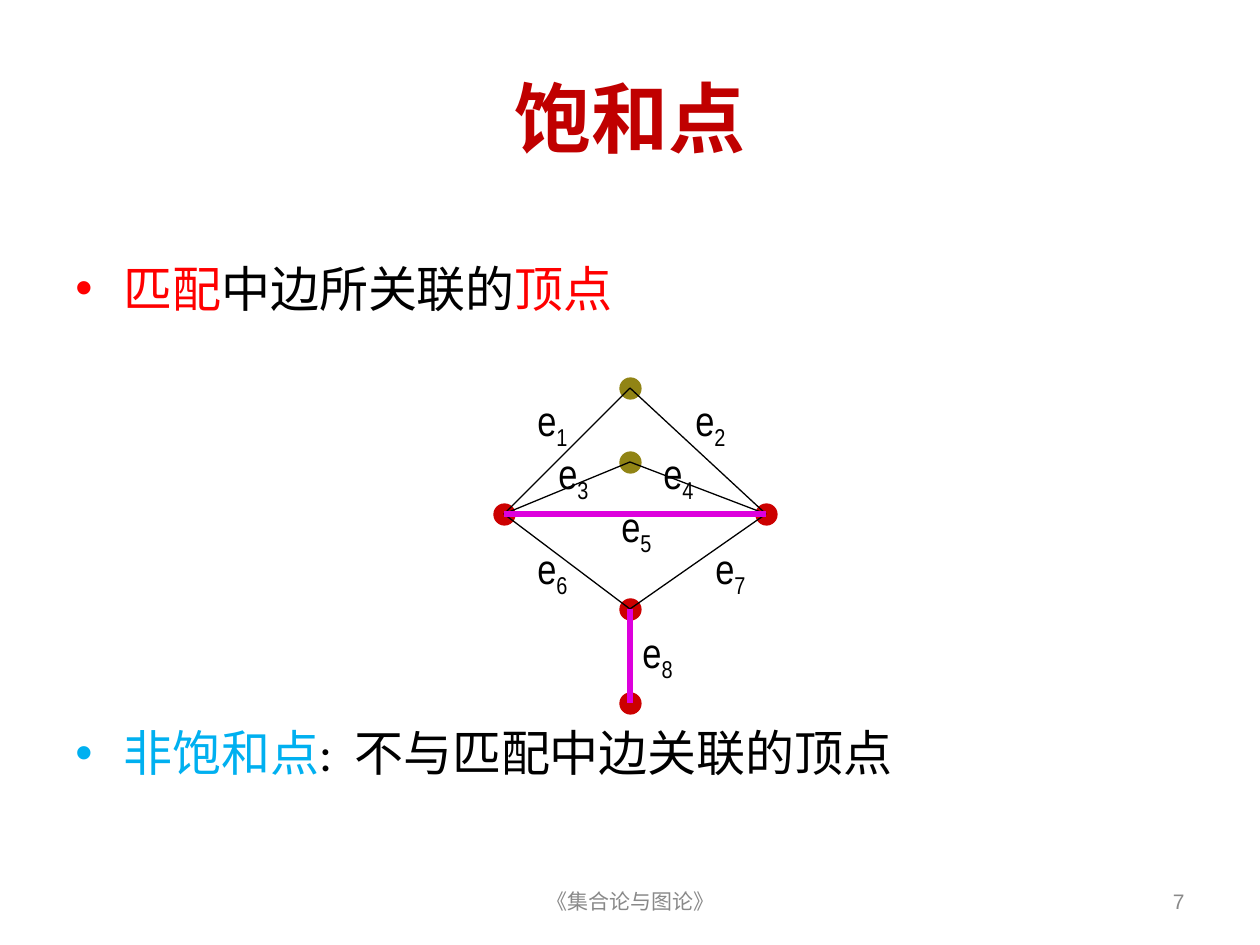
import pptx
import pptx.dml.color
import pptx.enum.shapes
import pptx.enum.text
import pptx.oxml.ns
import pptx.util
from lxml import etree

PX = 914400 // 126
COLORS = {
    "title": "C00000",
    "saturated_text": "FF0000",
    "unsaturated_text": "00B0F0",
    "ink": "000000",
    "footer": "898989",
    "saturated": "CC0000",
    "unsaturated": "918415",
    "matching": "DD00DD",
}
ALIGN = pptx.enum.text.PP_ALIGN
NODES = {
    "top": (630, 388, "unsaturated"),
    "inner": (630, 462, "unsaturated"),
    "hub": (630, 609, "saturated"),
    "left": (504, 514, "saturated"),
    "right": (766, 514, "saturated"),
    "bottom": (630, 703, "saturated"),
}
EDGES = [
    ("left", "top", (525, 388)),
    ("right", "top", (683, 388)),
    ("left", "inner", (546, 441)),
    ("right", "inner", (651, 441)),
    ("left", "right", (609, 494)),
    ("hub", "left", (525, 536)),
    ("hub", "right", (703, 536)),
    ("hub", "bottom", (630, 620)),
]
MATCHING = {5, 8}
NODE_SIZE = 21


def px(*lengths):
    """Turn pixel lengths into EMU."""
    return [pptx.util.Emu(length * PX) for length in lengths]


def rgb(name):
    """Look up a named colour."""
    return pptx.dml.color.RGBColor.from_string(COLORS[name])


def style(font, face, size, color=None):
    """Set the typeface, size and optional colour of a font."""
    font.name = face
    font.size = pptx.util.Pt(size)
    if color:
        font.color.rgb = rgb(color)


def add_text_frame(shapes, box):
    """Add a wrapping text box and return its frame."""
    frame = shapes.add_textbox(*px(*box)).text_frame
    frame.word_wrap = True
    return frame


def add_title(slide, text):
    """Fill and place the title placeholder."""
    title = slide.shapes.title
    title.left, title.top, title.width, title.height = px(63, 38, 1134, 157)
    title.text_frame.text = text
    paragraph = title.text_frame.paragraphs[0]
    paragraph.alignment = ALIGN.CENTER
    style(paragraph.font, "Calibri", 44, "title")
    paragraph.font.bold = True


def fill_bullet(paragraph, bullet_color, parts):
    """Write one bulleted paragraph from coloured parts."""
    properties = paragraph._p.get_or_add_pPr()
    indent = px(48)[0]
    properties.set("marL", str(indent))
    properties.set("indent", str(-indent))
    qn = pptx.oxml.ns.qn
    color = etree.SubElement(properties, qn("a:buClr"))
    etree.SubElement(color, qn("a:srgbClr"), val=COLORS[bullet_color])
    etree.SubElement(properties, qn("a:buFont"), typeface="Arial")
    etree.SubElement(properties, qn("a:buChar"), char="•")
    style(paragraph.font, "Calibri", 28)
    for text, part_color in parts:
        run = paragraph.add_run()
        run.text = text
        run.font.color.rgb = rgb(part_color)


def add_definitions(slide):
    """Add the two definitions, spaced to leave room for the graph."""
    frame = add_text_frame(slide.shapes, (63, 252, 1134, 620))
    fill_bullet(frame.paragraphs[0], "saturated_text", [
        ("匹配", "saturated_text"),
        ("中边所关联的", "ink"),
        ("顶点", "saturated_text"),
    ])
    unsaturated = frame.add_paragraph()
    unsaturated.space_before = pptx.util.Pt(232)
    fill_bullet(unsaturated, "unsaturated_text", [
        ("非饱和点", "unsaturated_text"),
        (":  不与匹配中边关联的顶点", "ink"),
    ])


def add_footer(slide, box, text, alignment):
    """Add a small grey footer text."""
    frame = add_text_frame(slide.shapes, box)
    frame.vertical_anchor = pptx.enum.text.MSO_ANCHOR.MIDDLE
    paragraph = frame.paragraphs[0]
    paragraph.text = text
    paragraph.alignment = alignment
    style(paragraph.font, "Arial", 12, "footer")


def add_node(shapes, x, y, color):
    """Add a graph vertex centred on a point."""
    half = NODE_SIZE // 2
    node = shapes.add_shape(
        pptx.enum.shapes.MSO_SHAPE.OVAL,
        *px(x - half, y - half, NODE_SIZE, NODE_SIZE))
    node.shadow.inherit = False
    node.fill.solid()
    node.fill.fore_color.rgb = rgb(color)
    node.line.color.rgb = rgb(color)
    node.line.width = pptx.util.Pt(0.75)


def add_edge(shapes, start, end, matched):
    """Add an edge, heavy and coloured when it is in the matching."""
    edge = shapes.add_connector(
        pptx.enum.shapes.MSO_CONNECTOR.STRAIGHT,
        *px(*NODES[start][:2], *NODES[end][:2]))
    edge.line.color.rgb = rgb("matching" if matched else "ink")
    edge.line.width = pptx.util.Pt(3 if matched else 0.75)
    etree.SubElement(edge._element.spPr, pptx.oxml.ns.qn("a:effectLst"))


def add_edge_label(shapes, position, number):
    """Add an edge name with its number as a subscript."""
    paragraph = add_text_frame(shapes, (*position, 63, 70)).paragraphs[0]
    style(paragraph.font, "Arial Narrow", 24, "ink")
    paragraph.add_run().text = "e"
    subscript = paragraph.add_run()
    subscript.text = str(number)
    subscript._r.get_or_add_rPr().set("baseline", "-25000")


def add_graph(slide):
    """Draw the graph with its matching as one group."""
    shapes = slide.shapes.add_group_shape().shapes
    for node in NODES.values():
        add_node(shapes, *node)
    numbered = list(enumerate(EDGES, 1))
    for number, (start, end, _) in sorted(
            numbered, key=lambda item: item[0] in MATCHING):
        add_edge(shapes, start, end, number in MATCHING)
    for number, (_, _, position) in numbered:
        add_edge_label(shapes, position, number)


def main():
    """Build the slide and save it."""
    presentation = pptx.Presentation()
    presentation.slide_width, presentation.slide_height = px(1260, 945)
    slide = presentation.slides.add_slide(presentation.slide_layouts[5])
    add_title(slide, "饱和点")
    add_definitions(slide)
    add_footer(slide, (431, 876, 399, 50), "《集合论与图论》", ALIGN.CENTER)
    add_footer(slide, (903, 876, 294, 50), "7", ALIGN.RIGHT)
    add_graph(slide)
    presentation.save("out.pptx")


if __name__ == "__main__":
    main()
